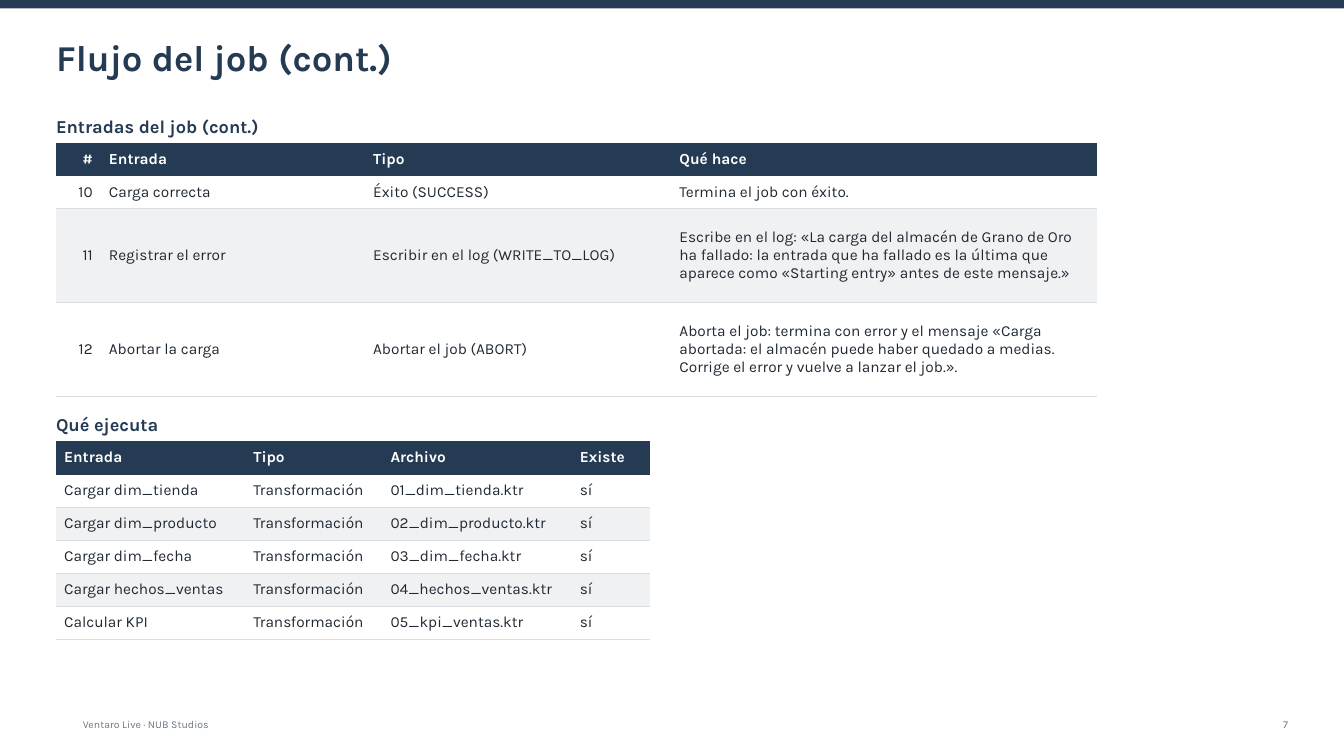
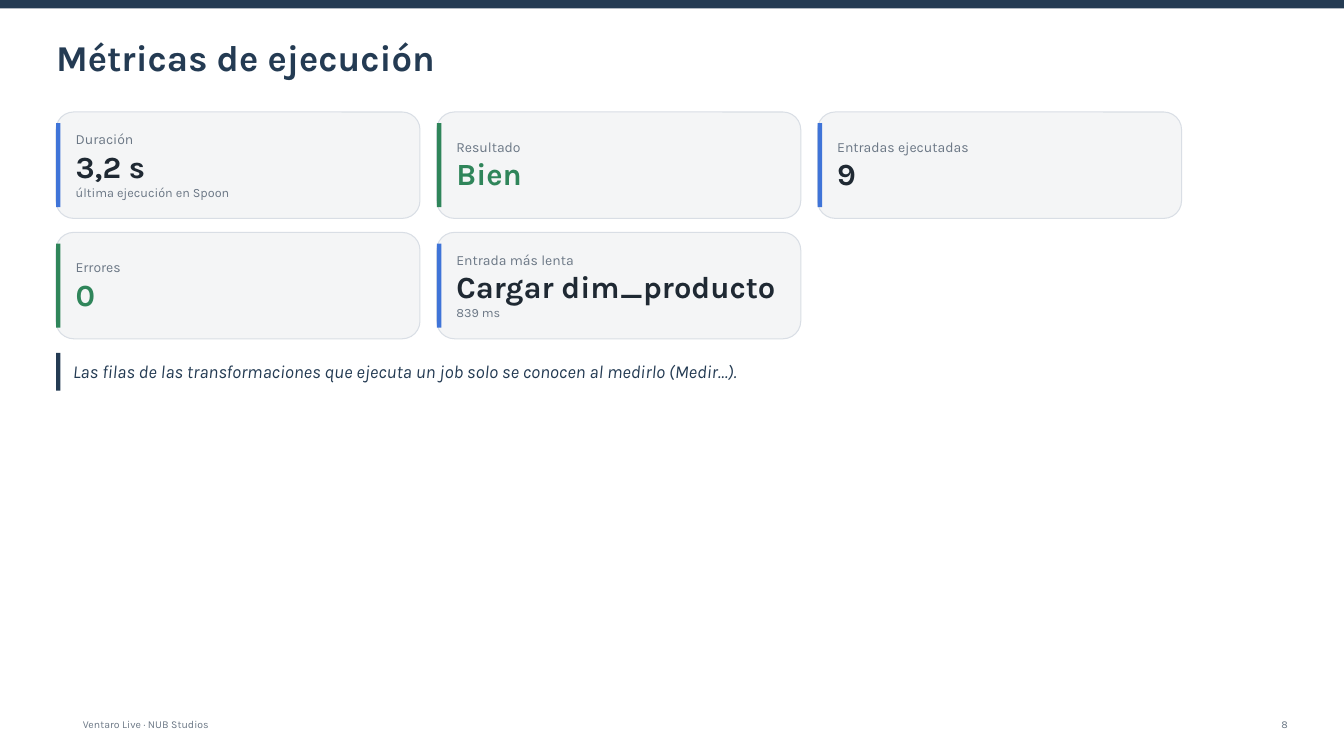
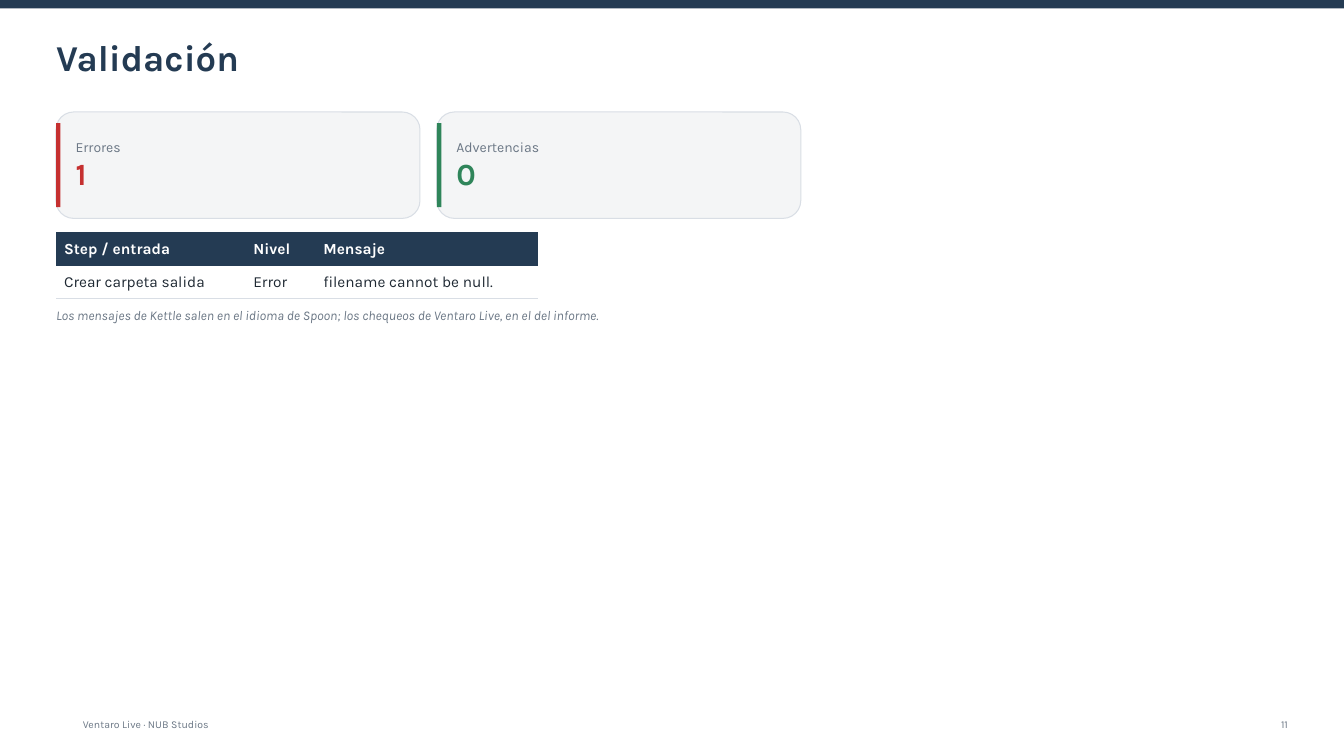
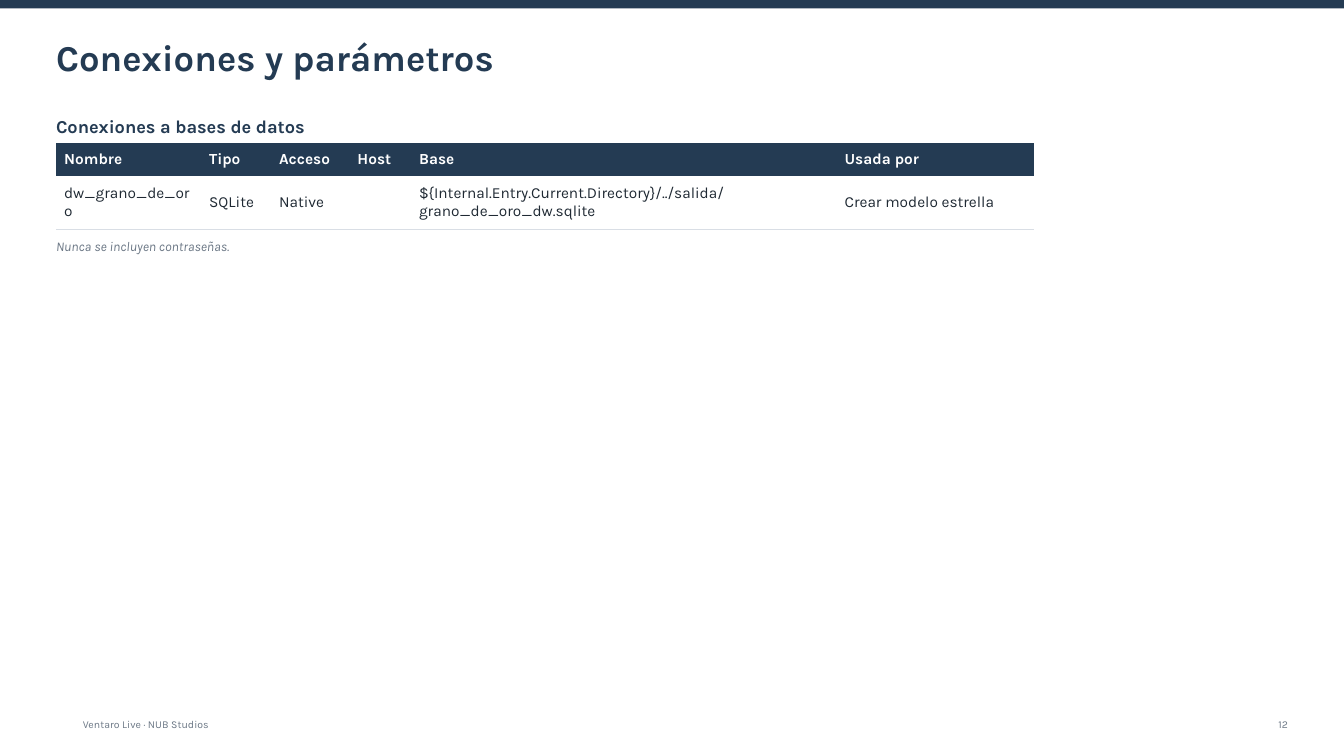
from pptx import Presentation, util as u
from pptx.dml.color import RGBColor
from pptx.enum import shapes, text
from pptx.oxml import parse_xml
from pptx.oxml.ns import nsdecls

COLORS = {
    "navy": "243B53", "ink": "1F2933", "gray": "6B7785", "rule": "D9DEE5",
    "card": "F4F5F6", "stripe": "F0F1F3", "white": "FFFFFF",
    "blue": "3F74D8", "green": "2F855A", "red": "C53030",
}
STYLES = {
    "title": {"size": 26, "bold": True, "color": "navy"},
    "heading": {"size": 13, "bold": True, "color": "navy"},
    "quote": {"size": 13, "italic": True, "color": "navy"},
    "note": {"size": 9.5, "italic": True, "color": "gray"},
    "footer": {"size": 7.5, "color": "gray"},
    "label": {"size": 10, "color": "gray"},
    "value": {"size": 22, "bold": True, "color": "ink"},
    "detail": {"size": 9, "color": "gray"},
    "head cell": {"size": 11, "bold": True, "color": "white"},
    "body cell": {"size": 11, "bold": False, "color": "ink"},
}
FONT = "Karla"
SLIDE_W, SLIDE_H = u.Inches(13.33), u.Inches(7.5)
COLUMNS, ROWS = 24, 27
LEFT, WIDTH = 1, 22
TOP = 4
CARD_W, CARD_H = 6.5, 3.8
CARD_STEP_X, CARD_STEP_Y = 6.8, 4.3
LINE_ROW = 1.18
PLAIN_TABLE = "{2D5ABB26-0587-4C30-8999-92F81FD0307C}"
MIDDLE = text.MSO_ANCHOR.MIDDLE
RIGHT = text.PP_ALIGN.RIGHT
RECT = shapes.MSO_SHAPE.RECTANGLE
ROUNDED = shapes.MSO_SHAPE.ROUNDED_RECTANGLE


def rgb(name):
    """Return the palette colour with this name."""
    return RGBColor.from_string(COLORS[name])


def cols(count):
    """Return the width of a number of grid columns."""
    return round(SLIDE_W * count / COLUMNS)


def rows(count):
    """Return the height of a number of grid rows."""
    return round(SLIDE_H * count / ROWS)


def place(left, top, width, height):
    """Turn a box in grid units into slide lengths."""
    return cols(left), rows(top), cols(width), rows(height)


def write(paragraph, words, style, color=None):
    """Write one run in a named style."""
    run = paragraph.add_run()
    run.text = words
    values = {**STYLES[style], "name": FONT}
    values["size"] = u.Pt(values["size"])
    run.font.color.rgb = rgb(color or values.pop("color"))
    values.pop("color", None)
    for key, value in values.items():
        setattr(run.font, key, value)


def add_text(slide, box, lines, anchor=MIDDLE, align=None, inset=0.03):
    """Add a text box whose lines are (words, style, colour) tuples."""
    frame = slide.shapes.add_textbox(*place(*box)).text_frame
    settings = {
        "word_wrap": True, "vertical_anchor": anchor,
        "margin_left": 0, "margin_right": 0,
        "margin_top": u.Inches(inset), "margin_bottom": u.Inches(inset),
    }
    for key, value in settings.items():
        setattr(frame, key, value)
    for index, line in enumerate(lines):
        paragraph = frame.add_paragraph() if index else frame.paragraphs[0]
        paragraph.alignment = align
        write(paragraph, *line)


def add_block(slide, box, fill, kind=RECT, outline=None):
    """Add a filled shape with an optional thin outline."""
    block = slide.shapes.add_shape(kind, *place(*box))
    block.shadow.inherit = False
    block.fill.solid()
    block.fill.fore_color.rgb = rgb(fill)
    if outline:
        block.line.color.rgb = rgb(outline)
        block.line.width = u.Pt(0.75)
    else:
        block.line.fill.background()


def add_heading(slide, top, words):
    """Add a section heading across the content width."""
    add_text(slide, (LEFT, top, WIDTH, 1), [(words, "heading")], text.MSO_ANCHOR.TOP)


def add_note(slide, top, words):
    """Add a small italic remark under a table."""
    add_text(slide, (LEFT, top, WIDTH, 0.95), [(words, "note")], text.MSO_ANCHOR.TOP)


def add_quote(slide, top, words):
    """Add an italic statement with a bar on its left."""
    height = 1.35
    add_block(slide, (LEFT, top, 0.08, height), "navy")
    add_text(slide, (LEFT + 0.3, top, WIDTH - 0.3, height), [(words, "quote")])


def add_card(slide, left, top, label, value, accent, detail=None):
    """Add one metric card with its accent bar."""
    add_block(slide, (left, top, CARD_W, CARD_H), "card", ROUNDED, "rule")
    add_block(slide, (left, top + 0.4, 0.08, CARD_H - 0.8), accent)
    value_color = "ink" if accent == "blue" else accent
    lines = [(label, "label"), (value, "value", value_color)]
    if detail:
        lines.append((detail, "detail"))
    add_text(slide, (left + 0.35, top + 0.3, CARD_W - 0.6, CARD_H - 0.6), lines)


def add_cards(slide, top, cards):
    """Lay metric cards out three to a line."""
    for index, card in enumerate(cards):
        line, place_in_line = divmod(index, 3)
        add_card(slide, LEFT + place_in_line * CARD_STEP_X, top + line * CARD_STEP_Y, *card)


def format_cell(cell, words, style, fill, edge, align):
    """Fill one table cell and draw its bottom edge."""
    settings = {
        "vertical_anchor": MIDDLE,
        "margin_left": u.Inches(0.08), "margin_right": u.Inches(0.08),
        "margin_top": u.Inches(0.04), "margin_bottom": u.Inches(0.04),
    }
    for key, value in settings.items():
        setattr(cell, key, value)
    cell.fill.solid()
    cell.fill.fore_color.rgb = rgb(fill)
    cell._tc.get_or_add_tcPr().insert(0, parse_xml(
        f'<a:lnB {nsdecls("a")} w="{u.Pt(0.75)}"><a:solidFill>'
        f'<a:srgbClr val="{COLORS[edge]}"/></a:solidFill></a:lnB>'))
    paragraph = cell.text_frame.paragraphs[0]
    paragraph.alignment = align
    if words:
        write(paragraph, words, style)


def add_grid(slide, top, widths, records, heights=None):
    """Add a table with a dark header and striped body rows."""
    heights = heights or [LINE_ROW] * len(records)
    box = place(LEFT, top, sum(widths), sum(heights))
    table = slide.shapes.add_table(len(records), len(widths), *box).table
    table._tbl.tblPr.find("{*}tableStyleId").text = PLAIN_TABLE
    for column, width in zip(table.columns, widths):
        column.width = cols(width)
    for index, (height, record) in enumerate(zip(heights, records)):
        table.rows[index].height = rows(height)
        if index == 0:
            look = ("head cell", "navy", "navy")
        else:
            look = ("body cell", "white" if index % 2 else "stripe", "rule")
        for position, words in enumerate(record):
            align = RIGHT if records[0][position] == "#" else None
            format_cell(table.cell(index, position), words, *look, align)


def add_page(deck, title, number):
    """Add a slide with its title, top band and footer."""
    slide = deck.slides.add_slide(deck.slide_layouts[6])
    slide.background.fill.solid()
    slide.background.fill.fore_color.rgb = rgb("white")
    add_text(slide, (LEFT, 0.8, WIDTH, 2.5), [(title, "title")], inset=0.05)
    add_block(slide, (0, 0, COLUMNS, 0.3), "navy")
    add_text(slide, (1.48, 25.4, 10, 0.9), [("Ventaro Live · NUB Studios", "footer")])
    add_text(slide, (20, 25.4, 3, 0.9), [(str(number), "footer")], align=RIGHT)
    return slide


def build_flow(deck):
    """Build the slide of job entries and the files they run."""
    slide = add_page(deck, "Flujo del job (cont.)", 7)
    add_heading(slide, TOP, "Entradas del job (cont.)")
    add_grid(slide, TOP + 1.1, [0.8, 4.72, 5.47, 7.6], [
        ("#", "Entrada", "Tipo", "Qué hace"),
        ("10", "Carga correcta", "Éxito (SUCCESS)", "Termina el job con éxito."),
        ("11", "Registrar el error", "Escribir en el log (WRITE_TO_LOG)",
         "Escribe en el log: «La carga del almacén de Grano de Oro ha fallado: "
         "la entrada que ha fallado es la última que aparece como "
         "«Starting entry» antes de este mensaje.»"),
        ("12", "Abortar la carga", "Abortar el job (ABORT)",
         "Aborta el job: termina con error y el mensaje «Carga abortada: "
         "el almacén puede haber quedado a medias. "
         "Corrige el error y vuelve a lanzar el job.»."),
    ], [LINE_ROW, LINE_ROW, 3.35, 3.35])
    add_heading(slide, 14.65, "Qué ejecuta")
    runs = [
        ("Cargar dim_tienda", "01_dim_tienda.ktr"),
        ("Cargar dim_producto", "02_dim_producto.ktr"),
        ("Cargar dim_fecha", "03_dim_fecha.ktr"),
        ("Cargar hechos_ventas", "04_hechos_ventas.ktr"),
        ("Calcular KPI", "05_kpi_ventas.ktr"),
    ]
    add_grid(slide, 14.65 + 1.1, [3.38, 2.45, 3.38, 1.4],
             [("Entrada", "Tipo", "Archivo", "Existe")]
             + [(entry, "Transformación", file, "sí") for entry, file in runs])


def build_metrics(deck):
    """Build the slide of run metrics."""
    slide = add_page(deck, "Métricas de ejecución", 8)
    add_cards(slide, TOP, [
        ("Duración", "3,2 s", "blue", "última ejecución en Spoon"),
        ("Resultado", "Bien", "green"),
        ("Entradas ejecutadas", "9", "blue"),
        ("Errores", "0", "green"),
        ("Entrada más lenta", "Cargar dim_producto", "blue", "839 ms"),
    ])
    add_quote(slide, TOP + 2 * CARD_STEP_Y,
              "Las filas de las transformaciones que ejecuta un job "
              "solo se conocen al medirlo (Medir…).")


def build_validation(deck):
    """Build the slide of validation results."""
    slide = add_page(deck, "Validación", 11)
    add_cards(slide, TOP, [("Errores", "1", "red"), ("Advertencias", "0", "green")])
    add_grid(slide, TOP + CARD_STEP_Y, [3.38, 1.25, 3.98], [
        ("Step / entrada", "Nivel", "Mensaje"),
        ("Crear carpeta salida", "Error", "filename cannot be null."),
    ])
    add_note(slide, 10.85,
             "Los mensajes de Kettle salen en el idioma de Spoon; "
             "los chequeos de Ventaro Live, en el del informe.")


def build_connections(deck):
    """Build the slide of database connections."""
    slide = add_page(deck, "Conexiones y parámetros", 12)
    add_heading(slide, TOP, "Conexiones a bases de datos")
    add_grid(slide, TOP + 1.1, [2.59, 1.25, 1.4, 1.1, 7.6, 3.53], [
        ("Nombre", "Tipo", "Acceso", "Host", "Base", "Usada por"),
        ("dw_grano_de_oro", "SQLite", "Native", "",
         "${Internal.Entry.Current.Directory}/../salida/grano_de_oro_dw.sqlite",
         "Crear modelo estrella"),
    ], [LINE_ROW, 1.9])
    add_note(slide, 8.4, "Nunca se incluyen contraseñas.")


def main():
    """Build the deck and save it."""
    deck = Presentation()
    deck.slide_width, deck.slide_height = SLIDE_W, SLIDE_H
    for build in (build_flow, build_metrics, build_validation, build_connections):
        build(deck)
    deck.save("out.pptx")


if __name__ == "__main__":
    main()
